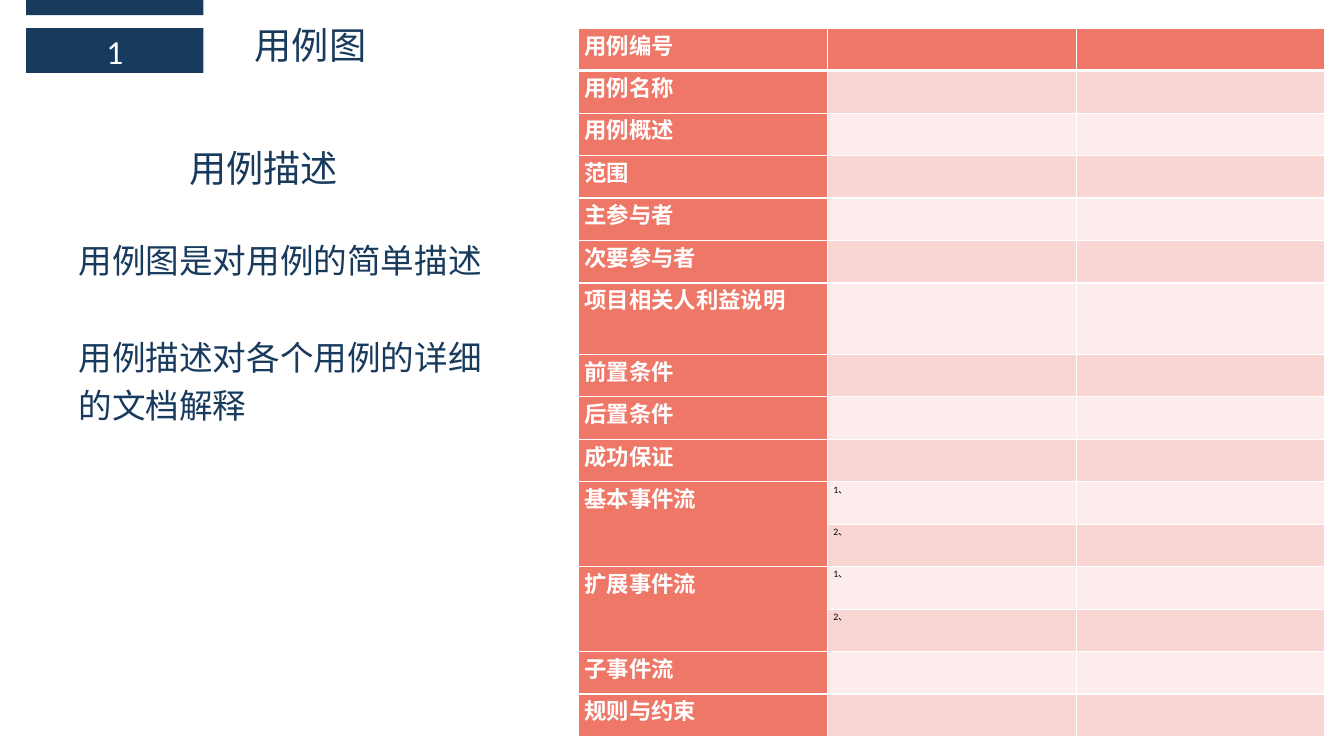
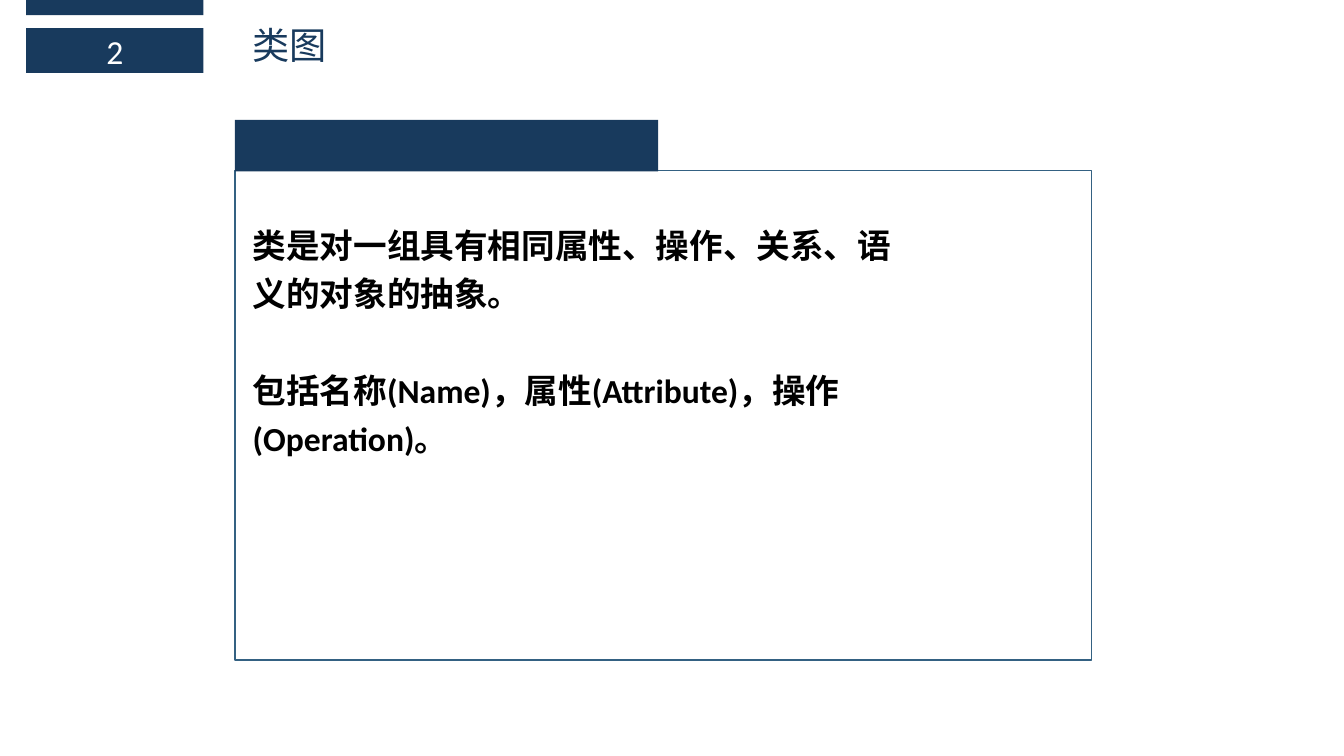
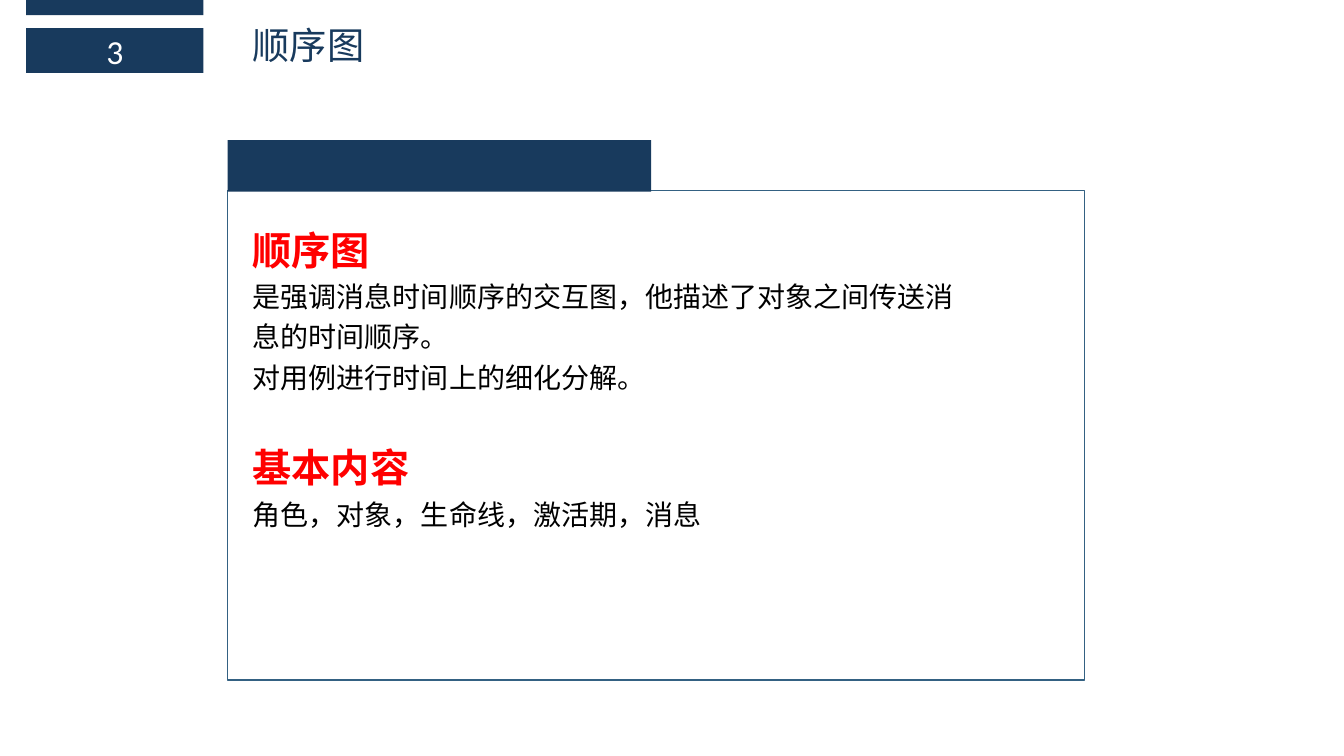
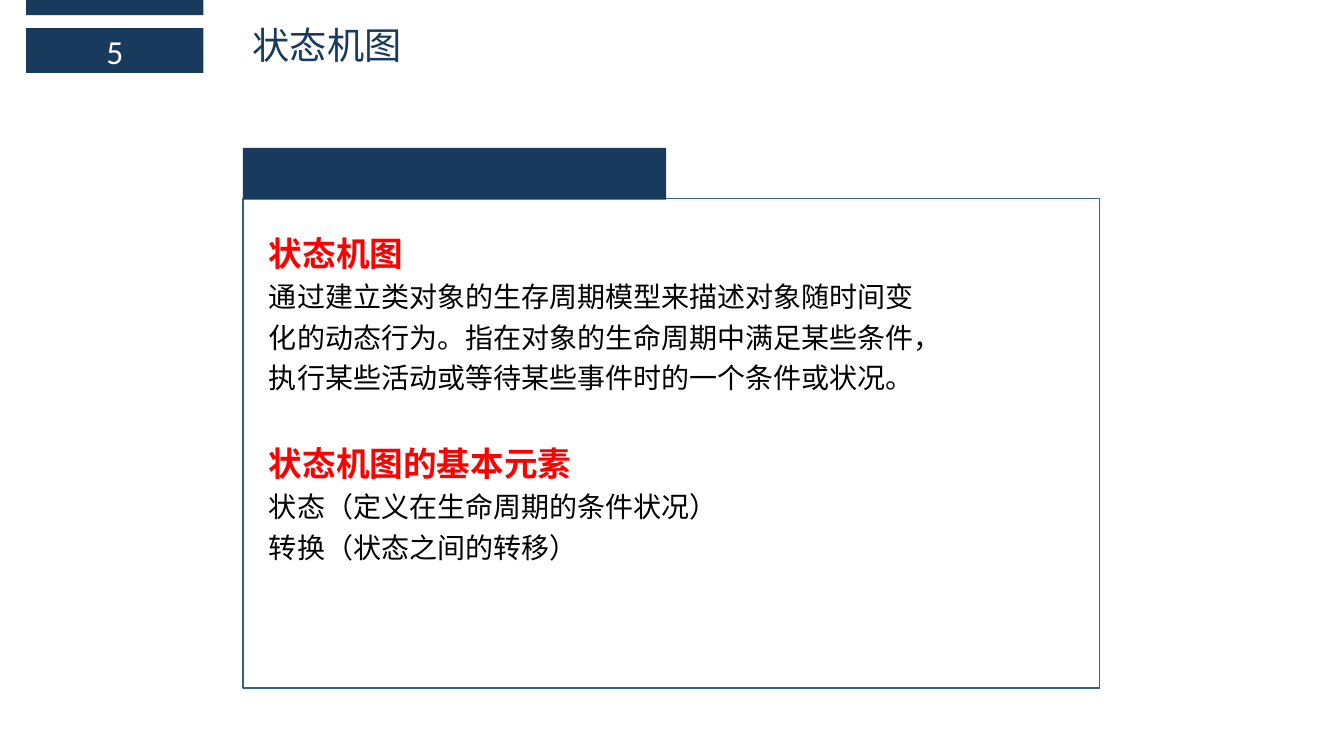
"""Build four slides on UML diagrams: use case, class, sequence and state machine."""
from lxml import etree
from pptx import Presentation
from pptx.dml.color import RGBColor
from pptx.enum.shapes import MSO_SHAPE
from pptx.enum.text import MSO_ANCHOR, PP_ALIGN
from pptx.oxml.ns import qn
from pptx.util import Cm, Pt

RECTANGLE = MSO_SHAPE.RECTANGLE
MIDDLE = MSO_ANCHOR.MIDDLE
CENTER = PP_ALIGN.CENTER

COLORS = {
    "navy": "183A5D",
    "frame": "346182",
    "white": "FFFFFF",
    "black": "000000",
    "red": "FF0000",
    "coral": "EF7768",
    "pink": "F9D6D4",
    "pale": "FCECEB",
}
LATIN = "Calibri"
CHINESE = "Noto Sans CJK SC"

STYLES = {
    "number": (LATIN, 24, "white", False),
    "title": (CHINESE, 26.6, "navy", False),
    "note": (CHINESE, 24, "navy", False),
    "statement": (LATIN, 24, "black", True),
    "heading": (LATIN, 24, "red", True),
    "large heading": (LATIN, 28, "red", True),
    "detail": (LATIN, 20, "black", False),
    "row label": (LATIN, 16, "white", True),
    "step": (LATIN, 7, "black", False),
}
LINE_SPACING = 1.2
GAP_24 = 34.6
GAP_20 = 28.9

USE_CASE = {
    "number": "1",
    "title": "用例图",
    "title_left": 6.17,
    "subtitle": "用例描述",
    "notes": [
        ("note", "用例图是对用例的简单描述", 0),
        ("note", "用例描述对各个用例的详细的文档解释", GAP_24),
    ],
}
TABLE_ROWS = [
    ("用例编号", []), ("用例名称", []), ("用例概述", []), ("范围", []),
    ("主参与者", []), ("次要参与者", []), ("项目相关人利益说明", []),
    ("前置条件", []), ("后置条件", []), ("成功保证", []),
    ("基本事件流", ["1、", "2、"]), ("扩展事件流", ["1、", "2、"]),
    ("子事件流", []), ("规则与约束", []),
]
TALL_LABEL = "项目相关人利益说明"

PANELS = [
    {
        "number": "2",
        "title": "类图",
        "frame": (5.92, 4.29),
        "body": (6.12, 5.33, 16.92, 6.4),
        "paragraphs": [
            ("statement", "类是对一组具有相同属性、操作、关系、语义的对象的抽象。", 0),
            ("statement", "包括名称(Name)，属性(Attribute)，操作(Operation)。", GAP_24),
        ],
    },
    {
        "number": "3",
        "title": "顺序图",
        "frame": (5.74, 4.8),
        "body": (6.12, 5.33, 18.67, 8.25),
        "paragraphs": [
            ("large heading", "顺序图", 0),
            ("detail", "是强调消息时间顺序的交互图，他描述了对象之间传送消息的时间顺序。", 0),
            ("detail", "对用例进行时间上的细化分解。", 0),
            ("large heading", "基本内容", GAP_20),
            ("detail", "角色，对象，生命线，激活期，消息", 0),
        ],
    },
    {
        "number": "5",
        "title": "状态机图",
        "frame": (6.12, 5.0),
        "body": (6.53, 5.54, 16.92, 8.86),
        "paragraphs": [
            ("heading", "状态机图", 0),
            ("detail", "通过建立类对象的生存周期模型来描述对象随时间变化的动态行为。"
                       "指在对象的生命周期中满足某些条件，执行某些活动或等待某些事件时的"
                       "一个条件或状况。", 0),
            ("heading", "状态机图的基本元素", GAP_20),
            ("detail", "状态（定义在生命周期的条件状况）", 0),
            ("detail", "转换（状态之间的转移）", 0),
        ],
    },
]


def color(name):
    return RGBColor.from_string(COLORS[name])


def style_paragraph(paragraph, style):
    name, size, ink, bold = STYLES[style]
    font = paragraph.font
    font.name, font.size, font.bold = name, Pt(size), bold
    font.color.rgb = color(ink)
    properties = paragraph._p.pPr.find(qn("a:defRPr"))
    east_asian = etree.Element(qn("a:ea"), typeface=CHINESE)
    properties.find(qn("a:latin")).addnext(east_asian)


def add_rectangle(slide, box, fill=None, line=None):
    shape = slide.shapes.add_shape(RECTANGLE, *map(Cm, box))
    shape.shadow.inherit = False
    if fill:
        shape.fill.solid()
        shape.fill.fore_color.rgb = color(fill)
    else:
        shape.fill.background()
    if line:
        shape.line.color.rgb = color(line)
        shape.line.width = Pt(1)
    else:
        shape.line.fill.background()
    return shape


def add_text(slide, box, paragraphs, spacing=LINE_SPACING):
    frame = slide.shapes.add_textbox(*map(Cm, box)).text_frame
    frame.word_wrap = True
    for index, (style, text, gap) in enumerate(paragraphs):
        paragraph = frame.add_paragraph() if index else frame.paragraphs[0]
        paragraph.text = text
        paragraph.line_spacing = spacing
        paragraph.space_before = Pt(gap)
        style_paragraph(paragraph, style)


def add_slide(presentation, number, title, title_left=6.12):
    slide = presentation.slides.add_slide(presentation.slide_layouts[6])
    add_rectangle(slide, (0.66, 0, 4.47, 0.38), "navy")
    badge = add_rectangle(slide, (0.66, 0.71, 4.47, 1.13), "navy")
    badge.text_frame.vertical_anchor = MIDDLE
    paragraph = badge.text_frame.paragraphs[0]
    paragraph.text = number
    paragraph.alignment = CENTER
    style_paragraph(paragraph, "number")
    add_text(slide, (title_left, 0.43, 16.81, 1.4), [("title", title, 0)], 1)
    return slide


def set_borders(cell, top, bottom):
    properties = cell._tc.get_or_add_tcPr()
    for side, width in (("L", 1), ("R", 1), ("T", top), ("B", bottom)):
        line = etree.SubElement(properties, qn(f"a:ln{side}"), w=str(Pt(width)))
        fill = etree.SubElement(line, qn("a:solidFill"))
        etree.SubElement(fill, qn("a:srgbClr"), val=COLORS["white"])


def add_use_case_table(slide):
    lines = []
    for label, steps in TABLE_ROWS:
        lines.append((label, steps[0] if steps else ""))
        lines.extend(("", step) for step in steps[1:])
    table = slide.shapes.add_table(
        len(lines), 3, Cm(14.58), Cm(0.71), Cm(18.8), Cm(17.81)).table
    for column in table.columns:
        column.width = Cm(6.27)
    for index, (label, step) in enumerate(lines):
        table.rows[index].height = Cm(1.8 if label == TALL_LABEL else 1.07)
        band = "coral" if index == 0 else "pink" if index % 2 else "pale"
        for column, text in enumerate((label, step, "")):
            cell = table.cell(index, column)
            cell.margin_left = cell.margin_right = Cm(0.15)
            cell.margin_top = cell.margin_bottom = 0
            set_borders(cell, 3 if index == 1 else 1, 3 if index == 0 else 1)
            cell.fill.solid()
            cell.fill.fore_color.rgb = color("coral" if column == 0 else band)
            cell.text = text
            style_paragraph(cell.text_frame.paragraphs[0],
                            "step" if column else "row label")
        if not label:
            table.cell(index - 1, 0).merge(table.cell(index, 0))


def add_use_case_slide(presentation):
    slide = add_slide(presentation, USE_CASE["number"], USE_CASE["title"],
                      USE_CASE["title_left"])
    add_use_case_table(slide)
    add_text(slide, (4.52, 3.53, 6.38, 1.4), [("title", USE_CASE["subtitle"], 0)], 1)
    add_text(slide, (1.73, 5.72, 11.38, 5.18), USE_CASE["notes"])


def add_panel_slide(presentation, panel):
    slide = add_slide(presentation, panel["number"], panel["title"])
    left, top = panel["frame"]
    add_rectangle(slide, (left, top, 21.59, 12.34), line="frame")
    add_rectangle(slide, (left, top - 1.27, 10.67, 1.3), "navy")
    add_text(slide, panel["body"], panel["paragraphs"])


def main():
    presentation = Presentation()
    presentation.slide_width = Cm(33.87)
    presentation.slide_height = Cm(19.05)
    add_use_case_slide(presentation)
    for panel in PANELS:
        add_panel_slide(presentation, panel)
    presentation.save("out.pptx")


if __name__ == "__main__":
    main()
